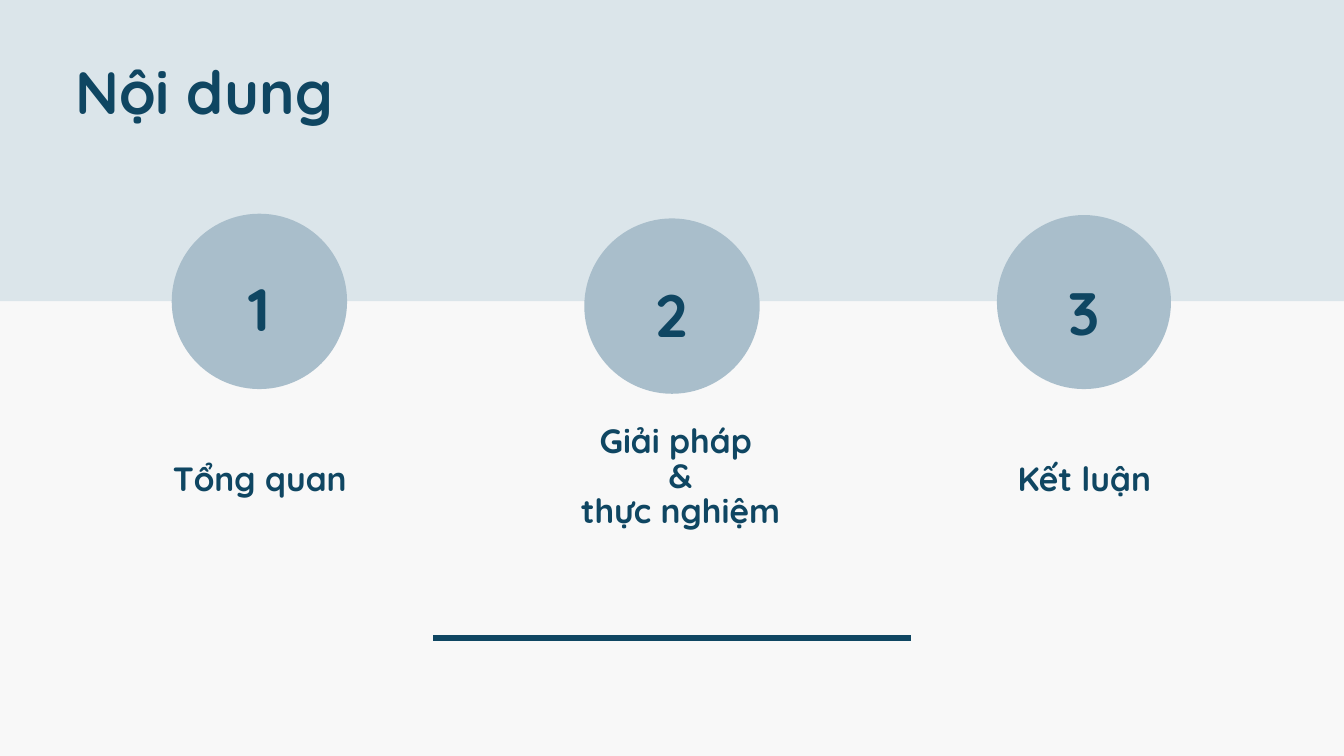
import pptx
import pptx.dml.color
import pptx.enum.shapes
import pptx.enum.text
import pptx.util
from lxml import etree
from pptx.util import Inches

NAVY = "0F4662"
CIRCLE_BLUE = "A9BECB"
BAND_BLUE = "DBE5EA"
BACKGROUND = "F8F8F8"
FONT = "Quicksand"
SHAPES = pptx.enum.shapes.MSO_SHAPE
ALIGN = pptx.enum.text.PP_ALIGN


def color(hex_string):
    """Return the RGB colour for a hex string."""
    return pptx.dml.color.RGBColor.from_string(hex_string)


def add_filled_shape(slide, kind, left, top, width, height, fill):
    """Add a flat preset shape without an outline."""
    shape = slide.shapes.add_shape(
        kind, Inches(left), Inches(top), Inches(width), Inches(height))
    shape.shadow.inherit = False
    shape.fill.solid()
    shape.fill.fore_color.rgb = color(fill)
    shape.line.fill.background()


def add_rule(slide, left, right, y, width):
    """Add a horizontal line without a shadow."""
    line = slide.shapes.add_connector(
        pptx.enum.shapes.MSO_CONNECTOR.STRAIGHT,
        Inches(left), Inches(y), Inches(right), Inches(y))
    line.line.color.rgb = color(NAVY)
    line.line.width = pptx.util.Pt(width)
    properties = line._element.spPr
    etree.SubElement(properties, pptx.oxml.ns.qn("a:effectLst"))


def add_text(slide, text, left, top, width, height, size=36, spacing=50.4,
             align=ALIGN.CENTER):
    """Add a bold text box with one paragraph for each line of text."""
    box = slide.shapes.add_textbox(
        Inches(left), Inches(top), Inches(width), Inches(height))
    frame = box.text_frame
    frame.word_wrap = True
    frame.margin_left = frame.margin_right = 0
    frame.margin_top = frame.margin_bottom = 0
    frame.text = text
    for paragraph in frame.paragraphs:
        paragraph.alignment = align
        paragraph.line_spacing = pptx.util.Pt(spacing)
        paragraph.font.name = FONT
        paragraph.font.size = pptx.util.Pt(size)
        paragraph.font.bold = True
        paragraph.font.color.rgb = color(NAVY)


def add_step(slide, number, center, circle_top, diameter, number_top):
    """Add a circle with its large number."""
    add_filled_shape(slide, SHAPES.OVAL, center - diameter / 2, circle_top,
                     diameter, diameter, CIRCLE_BLUE)
    number_width = 0.5
    add_text(slide, number, center - number_width / 2, number_top,
             number_width, 1.21, size=64, spacing=89.6)


def main():
    """Build the contents slide and save it."""
    presentation = pptx.Presentation()
    presentation.slide_width = Inches(20)
    presentation.slide_height = Inches(11.25)
    slide = presentation.slides.add_slide(presentation.slide_layouts[6])
    slide.background.fill.solid()
    slide.background.fill.fore_color.rgb = color(BACKGROUND)

    add_filled_shape(slide, SHAPES.RECTANGLE, 0, 0, 20, 4.48, BAND_BLUE)
    add_rule(slide, 6.45, 13.55, 9.49, 6)
    add_text(slide, "Nội dung", 1.12, 0.64, 10.84, 1.21, size=64,
             spacing=89.6, align=ALIGN.LEFT)

    add_step(slide, "1", 3.86, 3.18, 2.61, 3.87)
    add_step(slide, "2", 10, 3.25, 2.61, 3.95)
    add_step(slide, "3", 16.13, 3.2, 2.59, 3.93)

    add_text(slide, "Tổng quan", 1.12, 6.72, 5.49, 0.66)
    add_text(slide, "Giải pháp \n&\nthực nghiệm", 7.38, 6.32, 5.49, 1.6,
             spacing=37.8)
    add_text(slide, "Kết luận", 13.39, 6.71, 5.49, 0.66)

    presentation.save("out.pptx")


if __name__ == "__main__":
    main()
